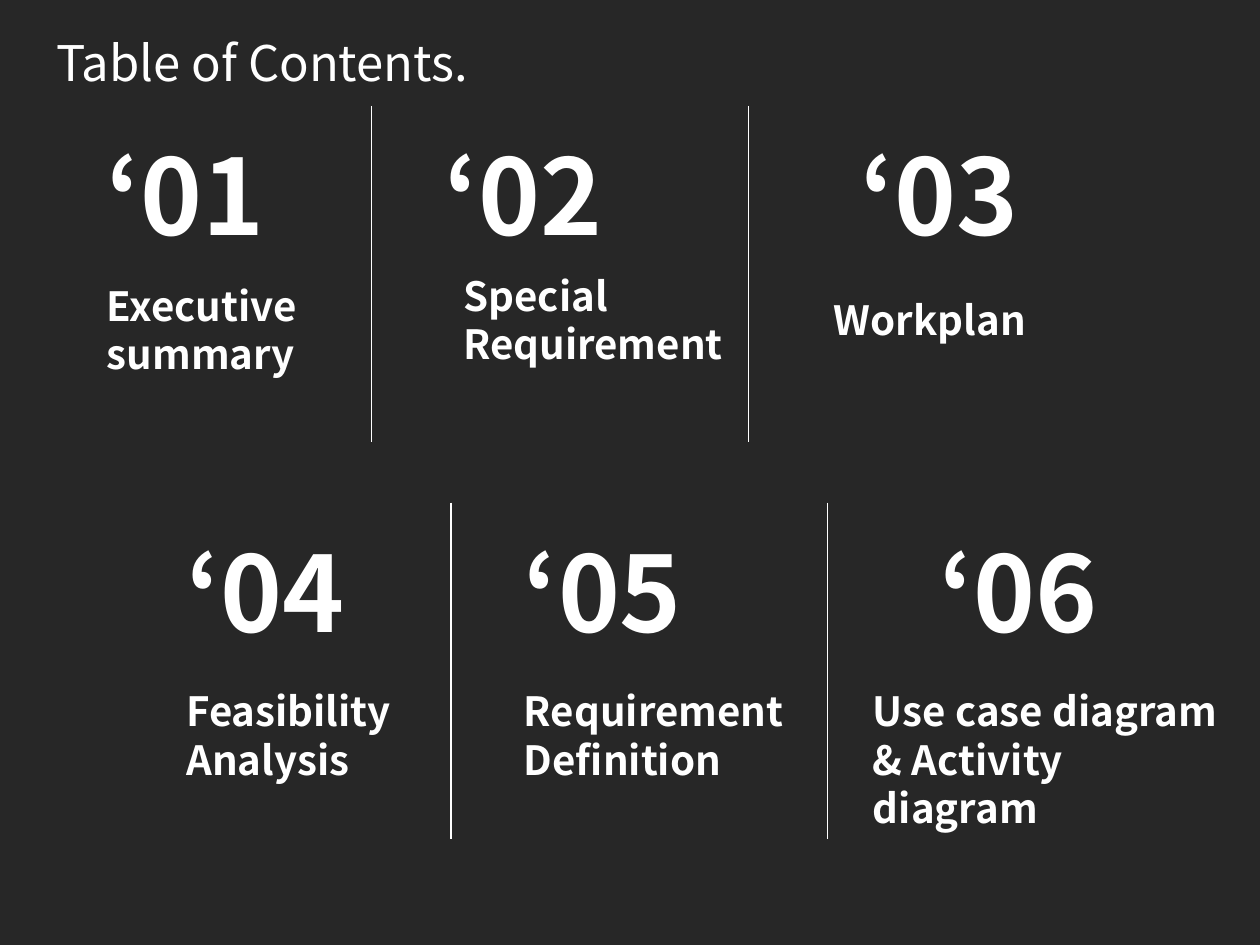
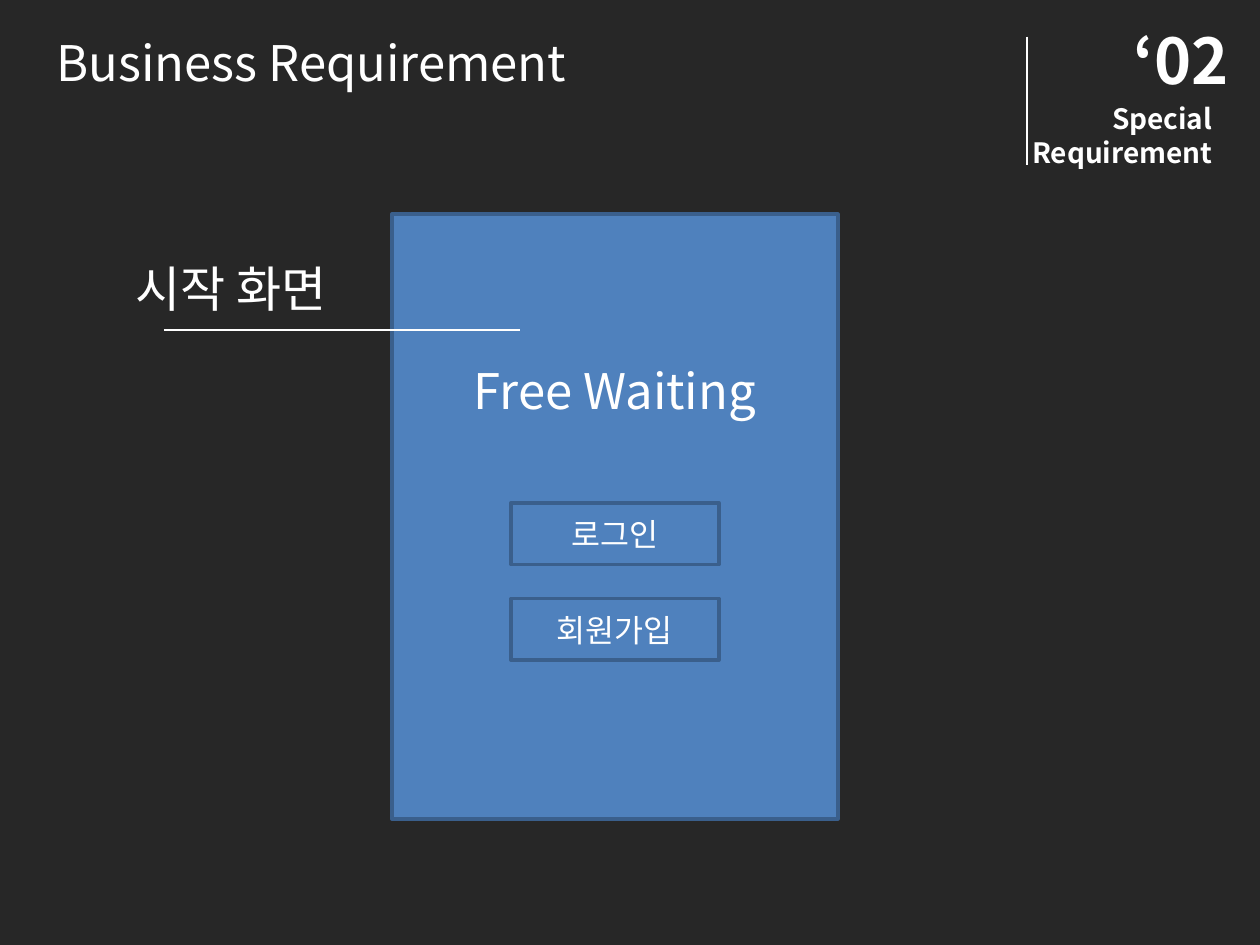
from dataclasses import dataclass

from lxml import etree
from pptx import Presentation
from pptx.dml.color import RGBColor
from pptx.enum.shapes import MSO_CONNECTOR, MSO_SHAPE
from pptx.enum.text import MSO_ANCHOR, MSO_AUTO_SIZE, PP_ALIGN
from pptx.oxml.ns import qn
from pptx.util import Inches, Pt

LEFT, CENTER, RIGHT = PP_ALIGN.LEFT, PP_ALIGN.CENTER, PP_ALIGN.RIGHT
MIDDLE = MSO_ANCHOR.MIDDLE
GROW = MSO_AUTO_SIZE.SHAPE_TO_FIT_TEXT
STRAIGHT = MSO_CONNECTOR.STRAIGHT
RECTANGLE = MSO_SHAPE.RECTANGLE
BLANK_LAYOUT = 6


@dataclass(frozen=True)
class Theme:
    """Colours, font and type sizes shared by the slides."""
    background: RGBColor = RGBColor(0x27, 0x27, 0x27)
    text: RGBColor = RGBColor(0xFF, 0xFF, 0xFF)
    panel: RGBColor = RGBColor(0x4F, 0x81, 0xBD)
    panel_edge: RGBColor = RGBColor(0x3A, 0x5F, 0x8C)
    font: str = "Noto Sans CJK KR"
    title: int = 28
    number: int = 60
    label: int = 23
    tag_number: int = 36
    tag_label: int = 16
    button: int = 18
    line_height: float = 1.2
    rule_width: float = 0.75
    edge_width: float = 2


THEME = Theme()


def write_lines(frame, text, size, bold=False, align=LEFT):
    """Write each line of text as a paragraph in the shared font."""
    frame.word_wrap = True
    for index, line in enumerate(text.split("\n")):
        paragraph = frame.add_paragraph() if index else frame.paragraphs[0]
        paragraph.text = line
        paragraph.alignment = align
        paragraph.line_spacing = Pt(size * THEME.line_height)
        font = paragraph.font
        font.name, font.size, font.bold = THEME.font, Pt(size), bold
        font.color.rgb = THEME.text
        properties = paragraph._p.pPr.find(qn("a:defRPr"))
        etree.SubElement(properties, qn("a:ea"), typeface=THEME.font)


def add_text(slide, left, top, width, height, text, size, bold=False, align=LEFT):
    """Add a wrapping text box."""
    box = slide.shapes.add_textbox(Inches(left), Inches(top), Inches(width), Inches(height))
    write_lines(box.text_frame, text, size, bold, align)
    box.text_frame.auto_size = GROW


def add_rule(slide, left, top, width=0, height=0):
    """Add a thin white line."""
    rule = slide.shapes.add_connector(
        STRAIGHT, Inches(left), Inches(top), Inches(left + width), Inches(top + height))
    rule.line.color.rgb = THEME.text
    rule.line.width = Pt(THEME.rule_width)
    etree.SubElement(rule._element.spPr, qn("a:effectLst"))


def add_panel(slide, left, top, width, height, text=""):
    """Add a blue outlined rectangle with optional centred text."""
    panel = slide.shapes.add_shape(
        RECTANGLE, Inches(left), Inches(top), Inches(width), Inches(height))
    panel.shadow.inherit = False
    panel.fill.solid()
    panel.fill.fore_color.rgb = THEME.panel
    panel.line.color.rgb = THEME.panel_edge
    panel.line.width = Pt(THEME.edge_width)
    if text:
        panel.text_frame.vertical_anchor = MIDDLE
        write_lines(panel.text_frame, text, THEME.button, align=CENTER)


def add_titled_slide(presentation, title):
    """Add a blank slide with the shared title."""
    slide = presentation.slides.add_slide(presentation.slide_layouts[BLANK_LAYOUT])
    add_text(slide, 0.35, 0.21, 5.28, 0.57, title, THEME.title)
    return slide


def add_contents_row(slide, left, top, first_number, labels):
    """Add three numbered chapters separated by two rules."""
    for offset in (2.2, 5.19):
        add_rule(slide, left + offset, top, height=2.67)
    for index, offset in enumerate((0, 2.68, 5.98)):
        add_text(slide, left + offset, top + 0.15, 2.2, 1.1,
                 f"‘{first_number + index:02}", THEME.number, bold=True)
    for label_left, label_top, width, height, text in labels:
        add_text(slide, left + label_left, top + label_top, width, height,
                 text, THEME.label, bold=True)


def add_chapter_tag(slide, left, top, number, label):
    """Add the chapter number and name beside a rule."""
    add_text(slide, left + 1.07, top, 1.14, 0.71, number, THEME.tag_number, bold=True)
    add_text(slide, left, top + 0.64, 1.89, 0.63, label, THEME.tag_label, True, RIGHT)
    add_rule(slide, left + 0.32, top + 0.17, height=1.02)


def add_start_screen(slide, left, top, name, buttons):
    """Add a phone screen with a centred name and stacked buttons."""
    width, height, button_width = 3.54, 4.8, 1.65
    add_panel(slide, left, top, width, height)
    add_text(slide, left, top + 1.11, width, 0.57, name, THEME.title, align=CENTER)
    for index, text in enumerate(buttons):
        add_panel(slide, left + (width - button_width) / 2, top + 2.29 + index * 0.76,
                  button_width, 0.49, text)


def add_callout(slide, left, top, text):
    """Add a caption above a line that points into the screen."""
    add_rule(slide, left + 0.32, top + 0.62, width=2.83)
    add_text(slide, left, top, 5.28, 0.57, text, THEME.title)


def build_contents(presentation):
    """Build the table of contents."""
    slide = add_titled_slide(presentation, "Table of Contents.")
    add_contents_row(slide, 0.75, 0.84, 1, (
        (0, 1.34, 2.83, 0.86, "Executive\nsummary"),
        (2.83, 1.26, 2.83, 0.87, "Special\nRequirement"),
        (5.77, 1.45, 2.83, 0.48, "Workplan")))
    add_contents_row(slide, 1.38, 3.99, 4, (
        (0, 1.41, 2.83, 0.87, "Feasibility\nAnalysis"),
        (2.68, 1.41, 2.83, 0.87, "Requirement\nDefinition"),
        (5.45, 1.41, 2.99, 0.88, "Use case diagram\n& Activity diagram")))


def build_business_requirement(presentation):
    """Build the start screen slide."""
    slide = add_titled_slide(presentation, "Business Requirement")
    add_chapter_tag(slide, 7.83, 0.12, "‘02", "Special\nRequirement")
    add_start_screen(slide, 3.11, 1.7, "Free Waiting", ("로그인", "회원가입"))
    add_callout(slide, 0.98, 2, "시작 화면")


def main():
    """Build and save the presentation."""
    presentation = Presentation()
    presentation.slide_width, presentation.slide_height = Inches(10), Inches(7.5)
    background = presentation.slide_master.background.fill
    background.solid()
    background.fore_color.rgb = THEME.background
    build_contents(presentation)
    build_business_requirement(presentation)
    presentation.save("out.pptx")


if __name__ == "__main__":
    main()
